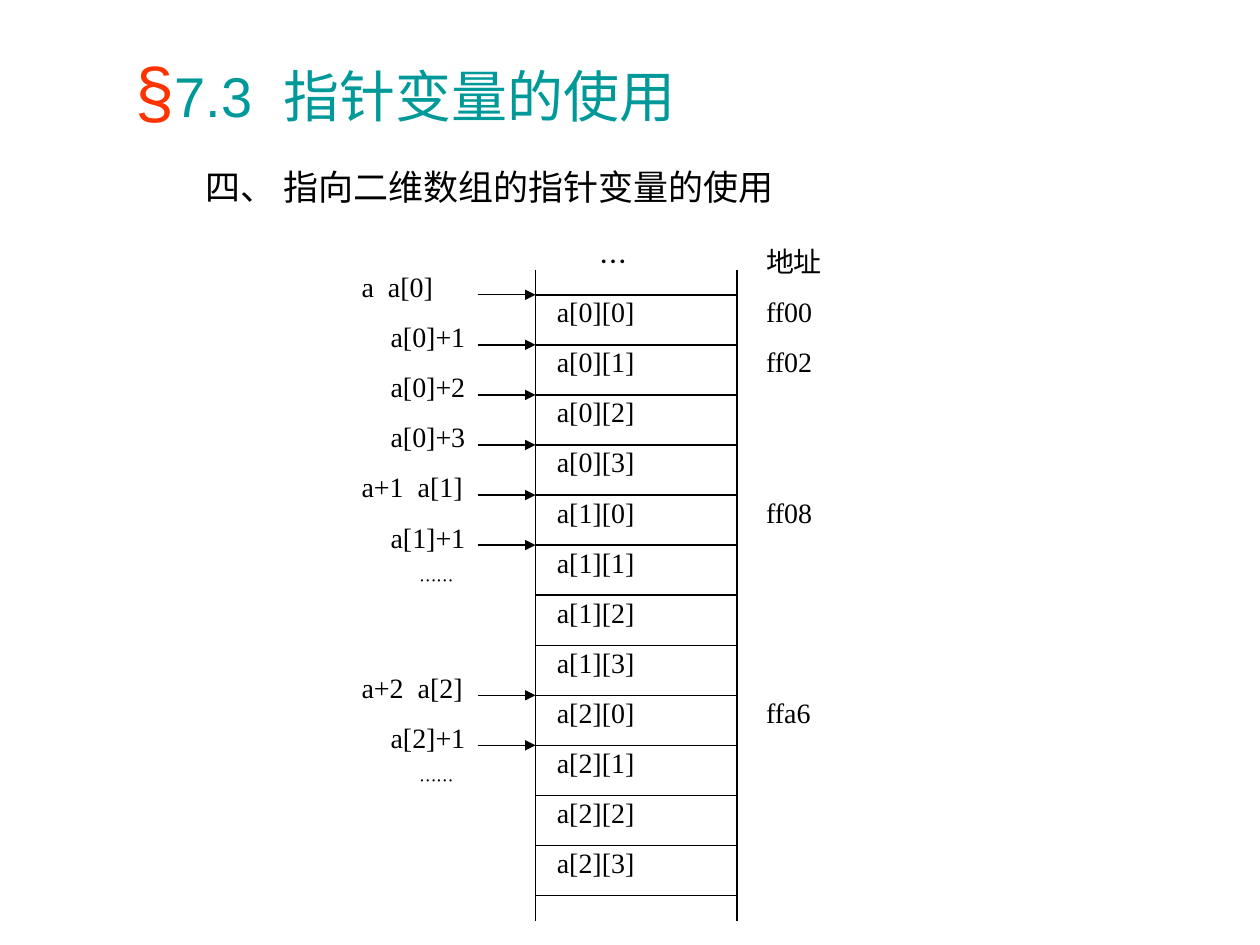
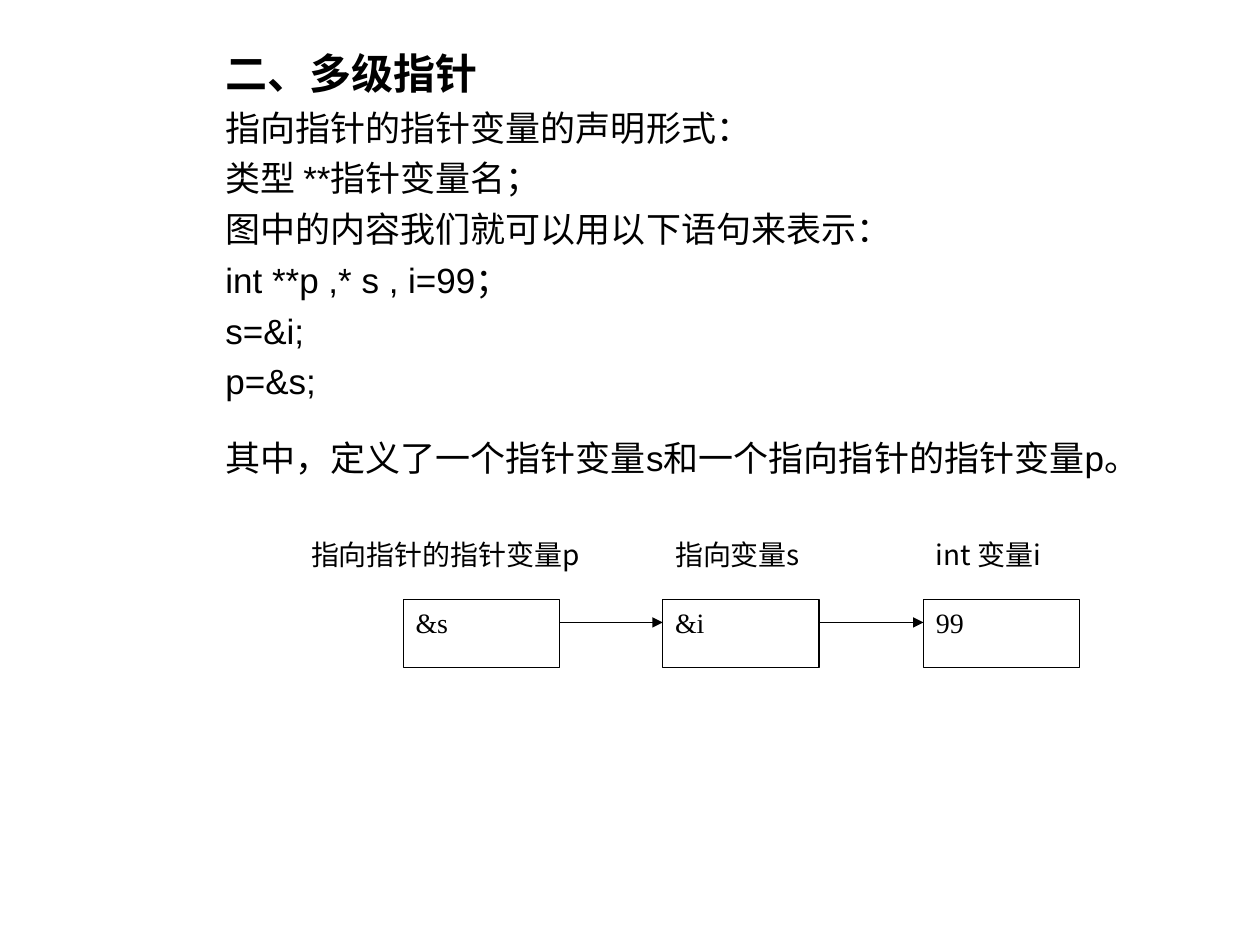
from lxml.etree import SubElement
from pptx import Presentation
from pptx.dml.color import RGBColor
from pptx.enum.shapes import MSO_CONNECTOR, MSO_SHAPE
from pptx.enum.text import MSO_ANCHOR, PP_ALIGN
from pptx.oxml.ns import qn
from pptx.util import Inches, Pt

BLACK = RGBColor(0x00, 0x00, 0x00)
WHITE = RGBColor(0xFF, 0xFF, 0xFF)
TEAL = RGBColor(0x00, 0x99, 0x99)
ORANGE = RGBColor(0xFF, 0x33, 0x00)

SANS = "Arial"
SERIF = "Times New Roman"
CHINESE = "Noto Sans CJK SC"

LINE_WIDTH = Pt(0.75)
BODY_INSETS = (0.1, 0.05)

ARRAY_TOP = 2.34
ARRAY_LEFT = 4.25
ARRAY_WIDTH = 1.6
ROW_COUNT, COLUMN_COUNT = 3, 4
CELL_COUNT = ROW_COUNT * COLUMN_COUNT
CELL_HEIGHT = (6.71 - ARRAY_TOP) / (CELL_COUNT - 1)
ARROW_LEFT = 3.79
ADDRESS_LEFT = 6.08

ROW_POINTERS = [(0, "a  a[0]"), (4, "a+1  a[1]"), (8, "a+2  a[2]")]
ELEMENT_POINTERS = [
    (1, "a[0]+1"), (2, "a[0]+2"), (3, "a[0]+3"), (5, "a[1]+1"), (9, "a[2]+1"),
]
OMITTED_POINTERS = [6, 10]
ADDRESSES = [(-1, "地址"), (0, "ff00"), (1, "ff02"), (4, "ff08"), (8, "ffa6")]

DECLARATION_LINES = [
    "指向指针的指针变量的声明形式：",
    "类型 **指针变量名；",
    "图中的内容我们就可以用以下语句来表示：",
    "int **p ,* s , i=99；",
    "s=&i;",
    "p=&s;",
]

VARIABLE_TOP = 4.76
VARIABLE_WIDTH = 1.24
VARIABLE_HEIGHT = 0.54
VARIABLE_LEFTS = [3.2, 5.26, 7.33]
VARIABLE_VALUES = ["&s", "&i", "99"]
VARIABLE_LABELS = [
    (2.37, 2.48, "指向指针的指针变量p"),
    (5.26, 1.45, "指向变量s"),
    (7.33, 1.45, "int 变量i"),
]


def apply_values(target, values):
    for name, value in values.items():
        setattr(target, name, value)


def add_run(paragraph, text, size, font_name=SANS, color=BLACK, bold=False):
    run = paragraph.add_run()
    run.text = text
    apply_values(run.font, {"size": Pt(size), "bold": bold, "name": font_name})
    run.font.color.rgb = color
    east_asian = SubElement(run.font._element, qn("a:ea"))
    east_asian.set("typeface", CHINESE)


def format_frame(frame, insets):
    horizontal, vertical = Inches(insets[0]), Inches(insets[1])
    apply_values(frame, {
        "word_wrap": True,
        "vertical_anchor": MSO_ANCHOR.TOP,
        "margin_left": horizontal,
        "margin_right": horizontal,
        "margin_top": vertical,
        "margin_bottom": vertical,
    })


def add_text(slide, left, top, width, height, lines):
    box = slide.shapes.add_textbox(*map(Inches, (left, top, width, height)))
    frame = box.text_frame
    format_frame(frame, BODY_INSETS)
    for index, (runs, line_height, space_before) in enumerate(lines):
        paragraph = frame.add_paragraph() if index else frame.paragraphs[0]
        apply_values(paragraph, {
            "line_spacing": Pt(line_height),
            "space_before": Pt(space_before),
        })
        for run in runs:
            add_run(paragraph, **run)


def add_box(slide, left, top, width, height, text, size=16, font_name=SERIF,
            line_color=WHITE, insets=(0, 0)):
    shape = slide.shapes.add_shape(
        MSO_SHAPE.RECTANGLE, *map(Inches, (left, top, width, height)))
    shape.shadow.inherit = False
    shape.fill.solid()
    shape.fill.fore_color.rgb = WHITE
    shape.line.color.rgb = line_color
    shape.line.width = LINE_WIDTH
    format_frame(shape.text_frame, insets)
    paragraph = shape.text_frame.paragraphs[0]
    paragraph.alignment = PP_ALIGN.JUSTIFY
    add_run(paragraph, text, size, font_name)


def add_line(slide, start, end, arrow=False):
    connector = slide.shapes.add_connector(
        MSO_CONNECTOR.STRAIGHT, *map(Inches, (*start, *end)))
    connector.line.color.rgb = BLACK
    connector.line.width = LINE_WIDTH
    if arrow:
        SubElement(connector.line._get_or_add_ln(), qn("a:tailEnd")).set("type", "triangle")
    SubElement(connector._element.spPr, qn("a:effectLst"))


def cell_top(index):
    return ARRAY_TOP + index * CELL_HEIGHT


def add_pointer_label(slide, index, left, width, text, **style):
    add_box(slide, left, cell_top(index - 0.5), width, CELL_HEIGHT, text, **style)


def add_pointer_arrow(slide, index):
    top = cell_top(index)
    add_line(slide, (ARROW_LEFT, top), (ARRAY_LEFT, top), arrow=True)


def add_array_cells(slide):
    for index in range(CELL_COUNT):
        row, column = divmod(index, COLUMN_COUNT)
        add_box(slide, ARRAY_LEFT, cell_top(index), ARRAY_WIDTH, CELL_HEIGHT,
                f"a[{row}][{column}]", line_color=BLACK, insets=(0.17, 0))
    for left in (ARRAY_LEFT, ARRAY_LEFT + ARRAY_WIDTH):
        for index in (-0.5, CELL_COUNT):
            add_line(slide, (left, cell_top(index)), (left, cell_top(index + 0.5)))


def add_array_slide(presentation):
    slide = presentation.slides.add_slide(presentation.slide_layouts[6])
    title_runs = [
        {"text": "§", "size": 40, "color": ORANGE},
        {"text": "7.3  指针变量的使用", "size": 32, "color": TEAL},
    ]
    add_text(slide, 0.98, 0.3, 8.52, 0.77, [(title_runs, 50, 0)])
    heading = {"text": "四、 指向二维数组的指针变量的使用", "size": 20}
    add_text(slide, 1.53, 1.07, 8.11, 0.7, [([heading], 38, 0)])

    add_box(slide, 4.71, cell_top(-1), 0.68, CELL_HEIGHT, "…",
            font_name=CHINESE, insets=(0.05, 0))
    add_array_cells(slide)
    for index, text in ROW_POINTERS:
        add_pointer_label(slide, index, 2.87, 1.15, text)
    for index, text in ELEMENT_POINTERS:
        add_pointer_label(slide, index, 3.1, 0.69, text)
    for index in OMITTED_POINTERS:
        add_pointer_label(slide, index, 3.33, 0.69, "……", size=10, font_name=CHINESE)
    for index, _ in ROW_POINTERS + ELEMENT_POINTERS:
        add_pointer_arrow(slide, index)
    for index, text in ADDRESSES:
        add_box(slide, ADDRESS_LEFT, cell_top(index), 0.92, CELL_HEIGHT, text)


def add_pointer_chain_slide(presentation):
    slide = presentation.slides.add_slide(presentation.slide_layouts[6])
    lines = [([{"text": "二、多级指针", "size": 24, "bold": True}], 32, 0)]
    lines += [([{"text": text, "size": 20}], 24, 5) for text in DECLARATION_LINES]
    summary = {"text": "其中，定义了一个指针变量s和一个指向指针的指针变量p。", "size": 20}
    lines.append(([summary], 36, 8))
    add_text(slide, 1.69, 0.28, 8.11, 3.62, lines)

    for left, width, text in VARIABLE_LABELS:
        add_box(slide, left, VARIABLE_TOP - VARIABLE_HEIGHT, width, VARIABLE_HEIGHT,
                text, font_name=CHINESE, insets=BODY_INSETS)
    for left, value in zip(VARIABLE_LEFTS, VARIABLE_VALUES):
        add_box(slide, left, VARIABLE_TOP, VARIABLE_WIDTH, VARIABLE_HEIGHT, value,
                line_color=BLACK, insets=BODY_INSETS)
    arrow_top = VARIABLE_TOP + VARIABLE_HEIGHT / 3
    for left, next_left in zip(VARIABLE_LEFTS, VARIABLE_LEFTS[1:]):
        add_line(slide, (left + VARIABLE_WIDTH, arrow_top), (next_left, arrow_top), arrow=True)


def main():
    presentation = Presentation()
    apply_values(presentation, {"slide_width": Inches(10), "slide_height": Inches(7.5)})
    add_array_slide(presentation)
    add_pointer_chain_slide(presentation)
    presentation.save("out.pptx")


if __name__ == "__main__":
    main()
